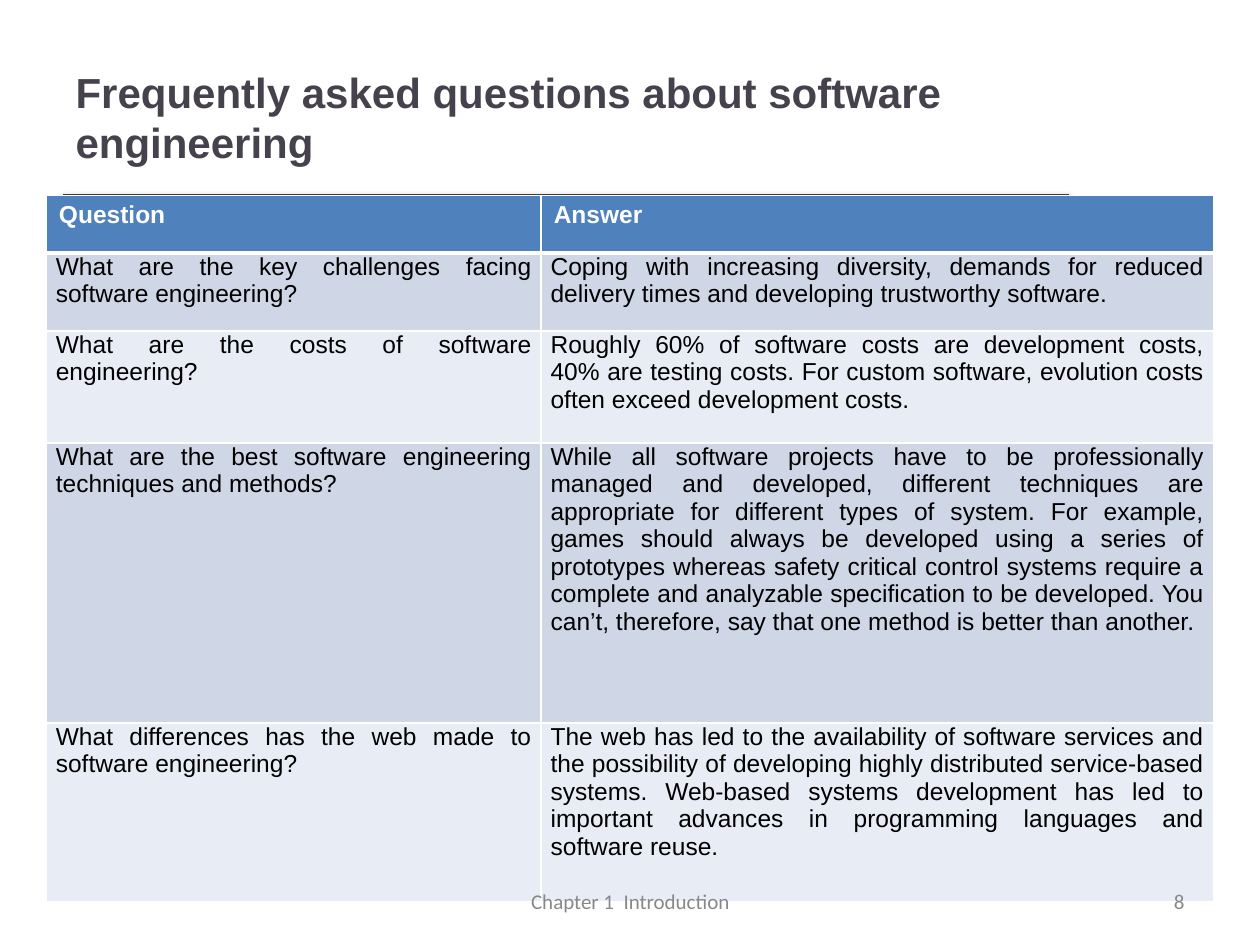
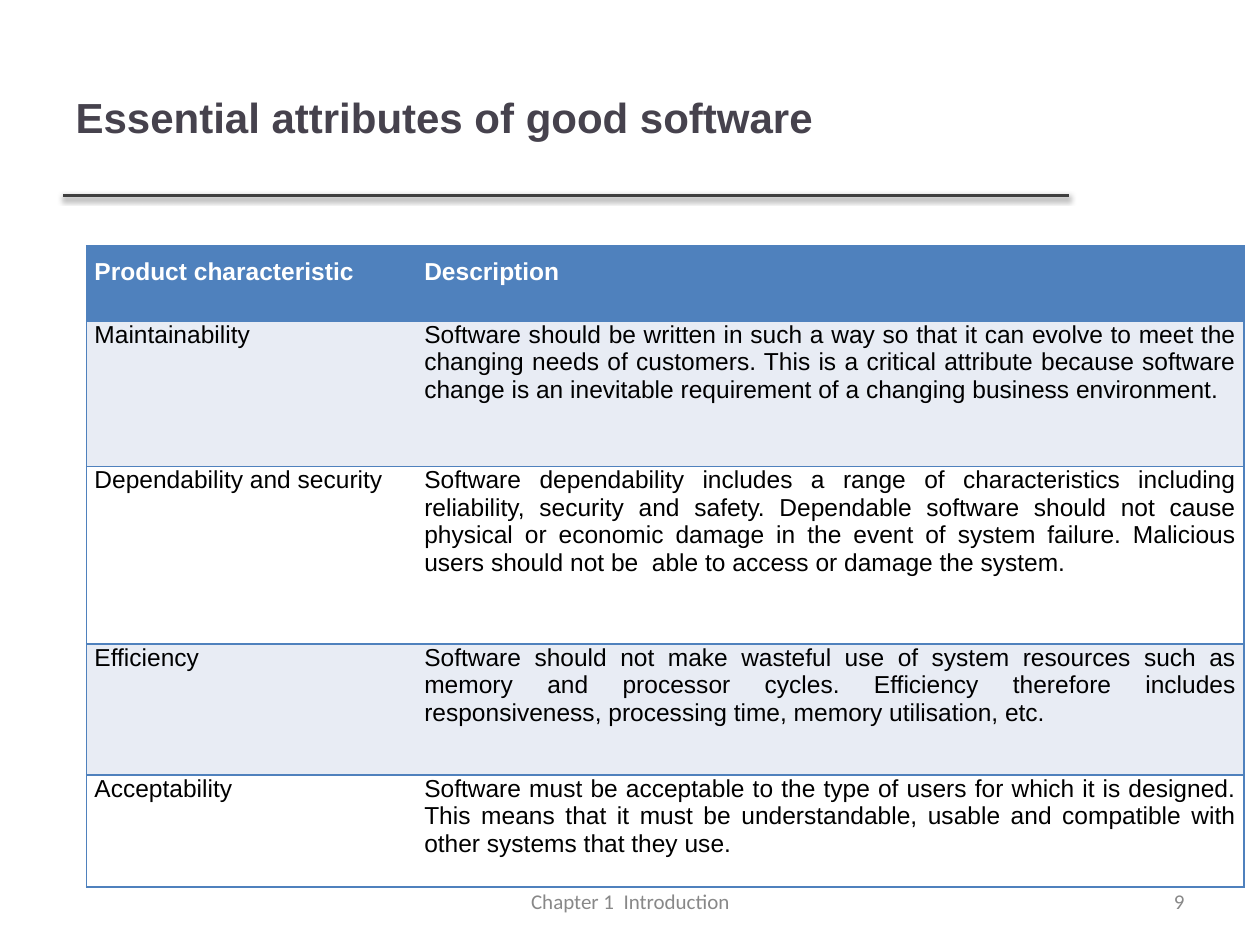
from dataclasses import dataclass

from pptx import Presentation
from pptx.dml.color import RGBColor
from pptx.enum.shapes import MSO_CONNECTOR as Connector
from pptx.enum.text import MSO_ANCHOR as Anchor, MSO_AUTO_SIZE as AutoSize, PP_ALIGN as Align
from pptx.oxml import parse_xml
from pptx.oxml.ns import nsdecls
from pptx.util import Pt


@dataclass(frozen=True)
class Theme:
    ink: str = "46424D"
    rule: str = "3F3F3F"
    blue: str = "4F81BD"
    band: str = "CFD7E7"
    pale: str = "E8ECF4"
    white: str = "FFFFFF"
    black: str = "000000"
    grey: str = "888888"
    font: str = "Arial"
    footer_font: str = "Calibri"
    title_size: float = 24
    table_size: float = 14
    footer_size: float = 12


@dataclass(frozen=True)
class TableStyle:
    bands: tuple
    border: str
    inner_columns: bool
    header_edge: float
    header_insets: tuple
    body_insets: tuple
    alignments: tuple


THEME = Theme()
FOOTER = "Chapter 1  Introduction"
QUESTION_STYLE = TableStyle(
    bands=(THEME.band, THEME.pale), border=THEME.white, inner_columns=True, header_edge=3,
    header_insets=(7.2, 3.6, 7.2, 3.6), body_insets=(5.4, 0, 5.4, 5),
    alignments=(Align.JUSTIFY, Align.JUSTIFY))
ATTRIBUTE_STYLE = TableStyle(
    bands=(THEME.pale, THEME.white), border=THEME.blue, inner_columns=False, header_edge=1,
    header_insets=(4.5, 7.2, 4.5, 7.2), body_insets=(4.5, 0, 4.5, 7.2),
    alignments=(Align.LEFT, Align.JUSTIFY))

QUESTIONS = [
    ("Question", "Answer"),
    ("What are the key challenges facing software engineering?",
     "Coping with increasing diversity, demands for reduced delivery times and developing "
     "trustworthy software."),
    ("What are the costs of software engineering?",
     "Roughly 60% of software costs are development costs, 40% are testing costs. For custom "
     "software, evolution costs often exceed development costs."),
    ("What are the best software engineering techniques and methods?",
     "While all software projects have to be professionally managed and developed, different "
     "techniques are appropriate for different types of system. For example, games should always "
     "be developed using a series of prototypes whereas safety critical control systems require a "
     "complete and analyzable specification to be developed. You can’t, therefore, say that one "
     "method is better than another."),
    ("What differences has the web made to software engineering?",
     "The web has led to the availability of software services and the possibility of developing "
     "highly distributed service-based systems. Web-based systems development has led to important "
     "advances in programming languages and software reuse."),
]
ATTRIBUTES = [
    ("Product characteristic", "Description"),
    ("Maintainability",
     "Software should be written in such a way so that it can evolve to meet the changing needs of "
     "customers. This is a critical attribute because software change is an inevitable requirement "
     "of a changing business environment."),
    ("Dependability and security",
     "Software dependability includes a range of characteristics including reliability, security "
     "and safety. Dependable software should not cause physical or economic damage in the event of "
     "system failure. Malicious users should not be  able to access or damage the system."),
    ("Efficiency",
     "Software should not make wasteful use of system resources such as memory and processor "
     "cycles. Efficiency therefore includes responsiveness, processing time, memory utilisation, "
     "etc."),
    ("Acceptability",
     "Software must be acceptable to the type of users for which it is designed. This means that "
     "it must be understandable, usable and compatible with other systems that they use."),
]


class SlideBuilder:
    def __init__(self, deck, theme):
        self.deck = deck
        self.theme = theme
        self.page = None

    def start(self, title):
        self.page = self.deck.slides.add_slide(self.deck.slide_layouts[5])
        self.rule()
        self.title(title)

    def set_text(self, frame, text, size, color, font=None, bold=False, align=Align.LEFT):
        frame.text = text
        para = frame.paragraphs[0]
        para.alignment = align
        for span in para.runs:
            span.font.name = font or self.theme.font
            span.font.size = Pt(size)
            span.font.bold = bold
            span.font.color.rgb = RGBColor.from_string(color)

    def title(self, text):
        box = self.page.shapes.title
        box.left, box.top, box.width, box.height = Pt(36), Pt(21.6), Pt(574.5), Pt(90)
        frame = box.text_frame
        frame.auto_size = AutoSize.NONE
        frame.vertical_anchor = Anchor.MIDDLE
        self.set_text(frame, text, self.theme.title_size, self.theme.ink, bold=True)

    def rule(self):
        line = self.page.shapes.add_connector(
            Connector.STRAIGHT, Pt(36), Pt(111.6), Pt(611), Pt(111.6))
        line.line.color.rgb = RGBColor.from_string(self.theme.rule)
        line.line.width = Pt(2)
        line._element.spPr.append(parse_xml(
            f'<a:effectLst {nsdecls("a")}><a:outerShdw blurRad="{Pt(3.1)}" dist="{Pt(1.6)}" '
            f'dir="5400000" rotWithShape="0"><a:srgbClr val="{self.theme.black}">'
            '<a:alpha val="38000"/></a:srgbClr></a:outerShdw></a:effectLst>'))

    def footer(self, number):
        self.footer_text(FOOTER, 246.25, 228, Align.CENTER)
        self.footer_text(str(number), 516, 168, Align.RIGHT)

    def footer_text(self, text, left, width, align):
        box = self.page.shapes.add_textbox(Pt(left), Pt(500.5), Pt(width), Pt(28.75))
        frame = box.text_frame
        frame.word_wrap = True
        frame.vertical_anchor = Anchor.MIDDLE
        self.set_text(frame, text, self.theme.footer_size, self.theme.grey,
                      self.theme.footer_font, align=align)

    def borders(self, cell, color, widths):
        for place, (side, width) in enumerate(zip("LRTB", widths)):
            paint = f'<a:solidFill><a:srgbClr val="{color}"/></a:solidFill>' if width else "<a:noFill/>"
            cell._tc.get_or_add_tcPr().insert(place, parse_xml(
                f'<a:ln{side} {nsdecls("a")} w="{Pt(width)}">{paint}</a:ln{side}>'))

    def table(self, rows, left, top, widths, heights, style):
        frame = self.page.shapes.add_table(
            len(rows), len(widths), Pt(left), Pt(top), Pt(sum(widths)), Pt(sum(heights)))
        grid = frame.table
        grid.first_row = grid.horz_banding = False
        for column, width in zip(grid.columns, widths):
            column.width = Pt(width)
        for row, height in zip(grid.rows, heights):
            row.height = Pt(height)
        for row_index, row in enumerate(rows):
            header = row_index == 0
            fill = self.theme.blue if header else style.bands[(row_index - 1) % 2]
            insets = style.header_insets if header else style.body_insets
            for column_index, text in enumerate(row):
                cell = grid.cell(row_index, column_index)
                cell.margin_left, cell.margin_top, cell.margin_right, cell.margin_bottom = map(Pt, insets)
                cell.fill.solid()
                cell.fill.fore_color.rgb = RGBColor.from_string(fill)
                self.set_text(cell.text_frame, text, self.theme.table_size,
                              self.theme.white if header else self.theme.black, bold=header,
                              align=Align.LEFT if header else style.alignments[column_index])
                self.borders(cell, style.border, (
                    int(style.inner_columns or column_index == 0),
                    int(style.inner_columns or column_index == len(row) - 1),
                    style.header_edge if row_index == 1 else 1,
                    style.header_edge if header else 1))


def main():
    deck = Presentation()
    deck.slide_width, deck.slide_height = Pt(720), Pt(540)
    builder = SlideBuilder(deck, THEME)

    builder.start("Frequently asked questions about software engineering")
    builder.table(QUESTIONS, 26.5, 111.6, (282.75, 384.25), (33, 44.5, 64, 160, 102), QUESTION_STYLE)
    builder.footer(8)

    builder.start("Essential attributes of good software")
    builder.footer(9)
    builder.table(ATTRIBUTES, 49.5, 140.5, (188.5, 473), (43, 83, 101.5, 75, 64), ATTRIBUTE_STYLE)

    deck.save("out.pptx")


if __name__ == "__main__":
    main()
